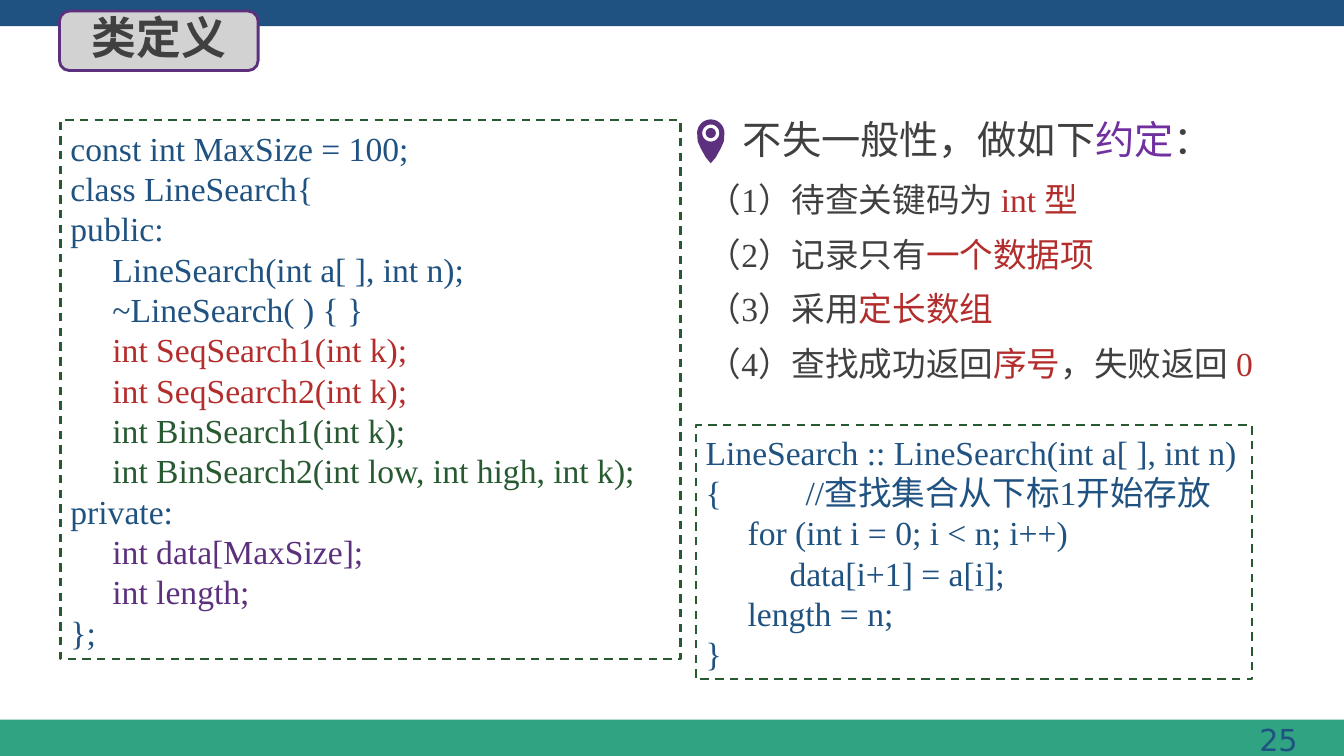
from dataclasses import dataclass
from math import cos, pi, sin

from lxml.etree import SubElement
from pptx import Presentation
from pptx.dml.color import RGBColor
from pptx.enum.dml import MSO_LINE
from pptx.enum.shapes import MSO_SHAPE as Preset
from pptx.enum.text import MSO_ANCHOR as Anchor, MSO_AUTO_SIZE as AutoSize, PP_ALIGN as Align
from pptx.oxml.ns import qn
from pptx.util import Inches, Pt

COLORS = {
    "blue": "1F5281",
    "teal": "30A383",
    "purple": "5C307D",
    "violet": "7030A0",
    "red": "B42D2D",
    "green": "285A32",
    "dark": "404040",
    "gray": "D2D2D2",
}
SERIF, SANS, CJK = "Times New Roman", "DejaVu Sans", "Noto Sans CJK SC"


@dataclass
class Box:
    left: float
    top: float
    width: float
    height: float

    def emu(self) -> tuple:
        return tuple(Inches(v) for v in (self.left, self.top, self.width, self.height))


@dataclass
class Span:
    text: str
    color: str = "dark"


@dataclass
class CodePanel:
    box: Box
    lines: list[Span]


CODE_PANELS = [
    CodePanel(Box(0.6, 1.19, 6.15, 5.35), [
        Span("const int MaxSize = 100;", "blue"),
        Span("class LineSearch{", "blue"),
        Span("public:", "blue"),
        Span("     LineSearch(int a[ ], int n);", "blue"),
        Span("     ~LineSearch( ) { }", "blue"),
        Span("     int SeqSearch1(int k);", "red"),
        Span("     int SeqSearch2(int k);", "red"),
        Span("     int BinSearch1(int k);", "green"),
        Span("     int BinSearch2(int low, int high, int k);", "green"),
        Span("private:", "blue"),
        Span("     int data[MaxSize];", "purple"),
        Span("     int length;", "purple"),
        Span("};", "blue"),
    ]),
    CodePanel(Box(6.9, 4.22, 5.52, 2.52), [
        Span("LineSearch :: LineSearch(int a[ ], int n)", "blue"),
        Span("{          //查找集合从下标1开始存放", "blue"),
        Span("     for (int i = 0; i < n; i++)", "blue"),
        Span("          data[i+1] = a[i];", "blue"),
        Span("     length = n;", "blue"),
        Span("}", "blue"),
    ]),
]
HEADING = [Span("不失一般性，做如下"), Span("约定", "violet"), Span("：")]
CONVENTIONS = [
    [Span("（1）待查关键码为 "), Span("int 型", "red")],
    [Span("（2）记录只有"), Span("一个数据项", "red")],
    [Span("（3）采用"), Span("定长数组", "red")],
    [Span("（4）查找成功返回"), Span("序号", "red"), Span("，失败返回 "), Span("0", "red")],
]


def rgb(name: str) -> RGBColor:
    return RGBColor.from_string(COLORS[name])


def add_span(paragraph, span: Span, size: float, font: str = SERIF, bold: bool = False) -> None:
    run = paragraph.add_run()
    run.text = span.text
    run.font.size = Pt(size)
    run.font.name = font
    run.font.bold = bold
    run.font.color.rgb = rgb(span.color)
    SubElement(run.font._element, qn("a:ea")).set("typeface", CJK)


def add_panel(slide, preset: Preset, box: Box, fill: str = "", line: str = "", width: float = 1):
    shape = slide.shapes.add_shape(preset, *box.emu())
    shape.shadow.inherit = False
    if fill:
        shape.fill.solid()
        shape.fill.fore_color.rgb = rgb(fill)
    else:
        shape.fill.background()
    if line:
        shape.line.color.rgb = rgb(line)
        shape.line.width = Pt(width)
    else:
        shape.line.fill.background()
    return shape


def add_text(slide, box: Box, spans: list[Span], size: float, font: str = SERIF,
             align: Align = Align.LEFT) -> None:
    frame = slide.shapes.add_textbox(*box.emu()).text_frame
    frame.word_wrap = True
    paragraph = frame.paragraphs[0]
    paragraph.alignment = align
    for span in spans:
        add_span(paragraph, span, size, font)


def add_code(slide, panel: CodePanel) -> None:
    shape = add_panel(slide, Preset.RECTANGLE, panel.box, line="green", width=1.5)
    shape.line.dash_style = MSO_LINE.DASH
    frame = shape.text_frame
    frame.word_wrap = True
    frame.vertical_anchor = Anchor.MIDDLE
    for index, line in enumerate(panel.lines):
        paragraph = frame.add_paragraph() if index else frame.paragraphs[0]
        paragraph.alignment = Align.LEFT
        add_span(paragraph, line, 24)


def add_pin(slide, x: float, y: float) -> None:
    """Draw a map pin whose round head is centred on x, y."""
    def arc(radius: float, start: float, sweep: float, steps: int = 24) -> list:
        angles = [start + sweep * i / steps for i in range(steps + 1)]
        return [(x + radius * cos(a), y + radius * sin(a)) for a in angles]

    side = [(0.13, 0.08), (0.1, 0.15), (0.05, 0.24)]
    right = [(x + dx, y + dy) for dx, dy in side]
    left = [(x - dx, y + dy) for dx, dy in reversed(side)]
    outline = arc(0.135, pi, pi) + right + [(x, y + 0.3)] + left
    contours = [outline, arc(0.085, 0, 2 * pi), arc(0.05, 0, 2 * pi)]

    builder = None
    for contour in contours:
        points = [(Inches(px), Inches(py)) for px, py in contour]
        if builder is None:
            builder = slide.shapes.build_freeform(*points[0])
        else:
            builder.move_to(*points[0])
        builder.add_line_segments(points[1:], close=True)
    pin = builder.convert_to_shape()
    pin.shadow.inherit = False
    pin.fill.solid()
    pin.fill.fore_color.rgb = rgb("purple")
    pin.line.fill.background()


def add_title(slide, text: str) -> None:
    badge = add_panel(slide, Preset.ROUNDED_RECTANGLE, Box(0.59, 0.11, 1.97, 0.59),
                      "gray", "purple", 2)
    title = slide.shapes.title
    title.left, title.top, title.width, title.height = Box(0.81, 0.05, 1.62, 0.64).emu()
    badge.element.addnext(title.element)
    frame = title.text_frame
    frame.auto_size = AutoSize.NONE
    frame.word_wrap = True
    frame.vertical_anchor = Anchor.TOP
    frame.paragraphs[0].alignment = Align.LEFT
    add_span(frame.paragraphs[0], Span(text), 32, CJK, bold=True)


def main() -> None:
    presentation = Presentation()
    presentation.slide_width, presentation.slide_height = Inches(13.33), Inches(7.5)
    slide = presentation.slides.add_slide(presentation.slide_layouts[5])

    add_panel(slide, Preset.RECTANGLE, Box(0, 7.14, 13.33, 0.36), "teal")
    add_panel(slide, Preset.RECTANGLE, Box(0, 0, 13.33, 0.26), "blue")
    add_text(slide, Box(10.03, 7.11, 2.94, 0.46), [Span("25", "blue")], 21.6, SANS, Align.RIGHT)
    add_title(slide, "类定义")

    add_pin(slide, 7.05, 1.32)
    add_text(slide, Box(7.27, 1.09, 4.98, 0.57), HEADING, 28)
    for index, spans in enumerate(CONVENTIONS):
        add_text(slide, Box(6.92, 1.73 + 0.54 * index, 5.68, 0.5), spans, 24)
    for panel in CODE_PANELS:
        add_code(slide, panel)

    presentation.save("out.pptx")


if __name__ == "__main__":
    main()
